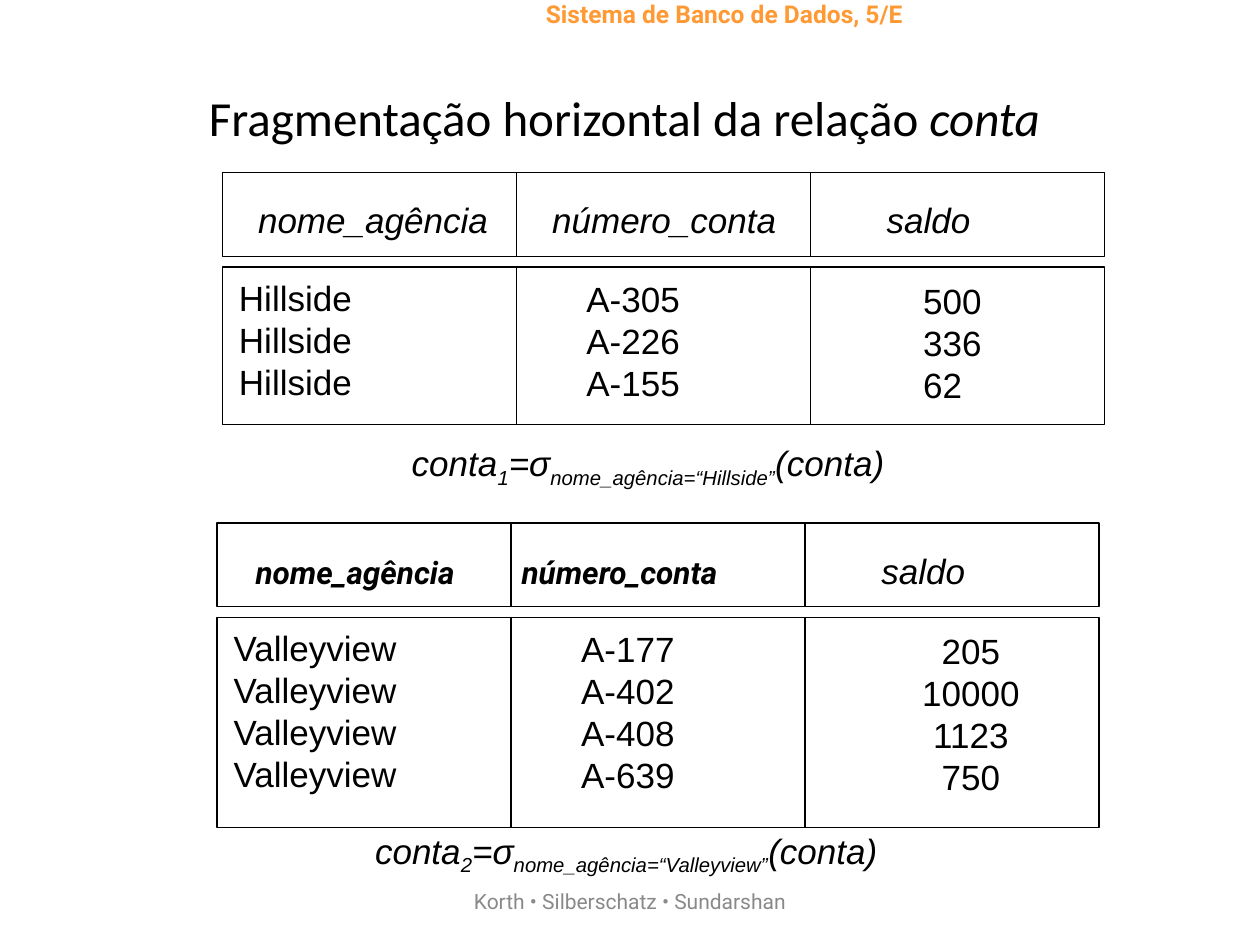
import pptx
import pptx.dml.color
import pptx.enum.shapes
import pptx.enum.text
import pptx.util

Pt = pptx.util.Pt
LEFT = pptx.enum.text.PP_ALIGN.LEFT
CENTER = pptx.enum.text.PP_ALIGN.CENTER
TOP = pptx.enum.text.MSO_ANCHOR.TOP
MIDDLE = pptx.enum.text.MSO_ANCHOR.MIDDLE
FIT = pptx.enum.text.MSO_AUTO_SIZE.SHAPE_TO_FIT_TEXT

BLACK = pptx.dml.color.RGBColor(0x00, 0x00, 0x00)
ORANGE = pptx.dml.color.RGBColor(0xFF, 0x99, 0x33)
GRAY = pptx.dml.color.RGBColor(0x89, 0x89, 0x89)

COLUMN_WIDTH = 168
HEADER_HEIGHT = 48
HEADER_GAP = 6
LINE_HEIGHT = 24
VALUE_TOPS = (1.6, 2.2, 3.6)


def add_span(para, text, font="Arial", size=20, color=BLACK, bold=False, italic=False, subscript=False):
    span = para.add_run()
    span.text = text
    span.font.name = font
    span.font.size = Pt(size)
    span.font.color.rgb = color
    span.font.bold = bold
    span.font.italic = italic
    if subscript:
        span.font._element.set("baseline", "-25000")


def add_text(page, left, top, width, height, lines, align=LEFT, anchor=TOP, wrap=False):
    box = page.shapes.add_textbox(Pt(left), Pt(top), Pt(width), Pt(height))
    frame = box.text_frame
    frame.word_wrap = wrap
    frame.vertical_anchor = anchor
    if not wrap:
        frame.auto_size = FIT
    for index, spans in enumerate(lines):
        para = frame.paragraphs[0] if index == 0 else frame.add_paragraph()
        para.alignment = align
        for text, style in spans:
            add_span(para, text, **style)


def add_cell(page, left, top, height):
    cell = page.shapes.add_shape(
        pptx.enum.shapes.MSO_SHAPE.RECTANGLE, Pt(left), Pt(top), Pt(COLUMN_WIDTH), Pt(height)
    )
    cell.shadow.inherit = False
    cell.fill.background()
    cell.line.color.rgb = BLACK
    cell.line.width = Pt(0.75)


def add_relation(page, left, top, body_height, columns):
    body_top = top + HEADER_HEIGHT + HEADER_GAP
    for index, (heading, values) in enumerate(columns):
        column_left = left + index * COLUMN_WIDTH
        name, indent, drop, width, style = heading
        add_cell(page, column_left, top, HEADER_HEIGHT)
        add_text(page, column_left + indent, top + drop, width, 31.5,
                 [[(name, dict(style, italic=True))]])
        texts, indent, width, align = values
        add_cell(page, column_left, body_top, body_height)
        add_text(page, column_left + indent, body_top + VALUE_TOPS[index], width,
                 LINE_HEIGHT * len(texts) + 7.2, [[(text, {})] for text in texts], align)


def add_formula(page, left, top, width, number, branch):
    parts = ["conta", number, "=σ", f"nome_agência=“{branch}”", "(conta)"]
    spans = [(text, {"italic": True, "subscript": index % 2 == 1}) for index, text in enumerate(parts)]
    add_text(page, left, top, width, 34.5, [spans])


def add_titles(page):
    add_text(page, 250.5, -4.3, 327, 24.5,
             [[("Sistema de Banco de Dados, 5/E",
                {"font": "Roboto", "size": 14, "color": ORANGE, "bold": True})]],
             CENTER, wrap=True)
    title = {"font": "Calibri", "size": 28}
    add_text(page, 36, 21.6, 648, 90,
             [[("Fragmentação horizontal da relação ", title), ("conta ", dict(title, italic=True))]],
             CENTER, MIDDLE, True)


def add_footer(page):
    add_text(page, 246, 500.4, 228, 28.8,
             [[("Korth • Silberschatz • Sundarshan", {"font": "Roboto", "size": 12, "color": GRAY})]],
             CENTER, MIDDLE, True)


def main():
    deck = pptx.Presentation()
    deck.slide_width = Pt(720)
    deck.slide_height = Pt(540)
    page = deck.slides.add_slide(deck.slide_layouts[6])
    add_titles(page)
    add_footer(page)

    balance = ("saldo", 36.6, 11.5, 62.2, {})
    add_relation(page, 127, 98.6, 90, [
        (("nome_agência", 13.4, 11.5, 145.8, {}), (["Hillside"] * 3, 2.5, 78.8, LEFT)),
        (("número_conta", 13.4, 11.5, 142.6, {}), (["A-305", "A-226", "A-155"], 33, 67.7, LEFT)),
        (balance, (["500", "336", "62"], 57.5, 47.8, LEFT)),
    ])
    add_formula(page, 228.2, 248.6, 284.4, "1", "Hillside")

    strong = {"font": "Roboto", "size": 18, "bold": True}
    add_relation(page, 124, 298.8, 120, [
        (("nome_agência", 15, 13.7, 136, strong), (["Valleyview"] * 4, 2.4, 108.7, LEFT)),
        (("número_conta", -1, 13.7, 136, strong),
         (["A-177", "A-402", "A-408", "A-639"], 33, 67.7, LEFT)),
        (balance, (["205", "10000", "1123", "750"], 59.8, 70, CENTER)),
    ])
    add_formula(page, 207.2, 470.2, 301.7, "2", "Valleyview")
    deck.save("out.pptx")


if __name__ == "__main__":
    main()
